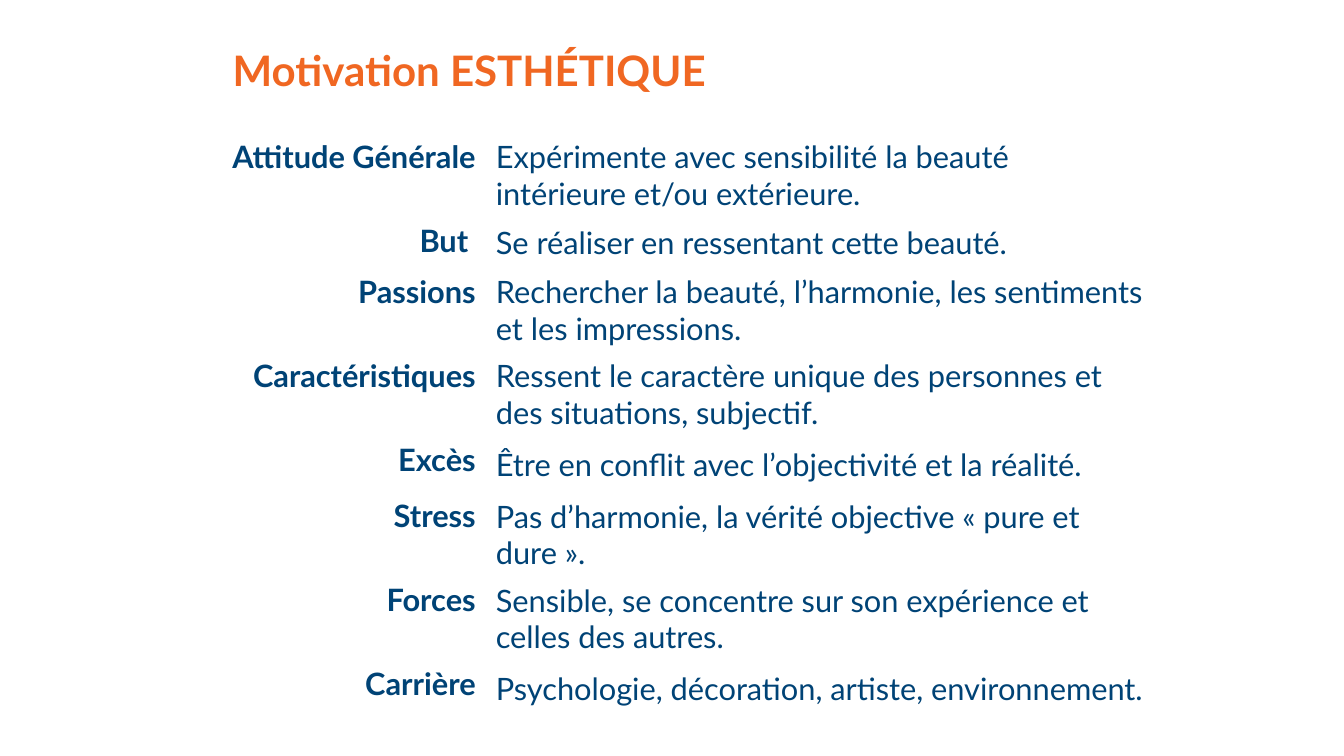
from pptx import Presentation
from pptx.dml.color import RGBColor
from pptx.enum import text
from pptx.util import Pt

ORANGE = RGBColor(0xF0, 0x67, 0x22)
NAVY = RGBColor(0x00, 0x43, 0x76)
FONT = "Lato"
COLUMN_WIDTHS = (213, 479)
TRAITS = [
    ("Attitude Générale", "Expérimente avec sensibilité la beauté intérieure et/ou extérieure.", 60),
    ("But ", "Se réaliser en ressentant cette beauté.", 36.6),
    ("Passions", "Rechercher la beauté, l’harmonie, les sentiments et les impressions.", 60),
    ("Caractéristiques", "Ressent le caractère unique des personnes et des situations, subjectif.", 60),
    ("Excès", "Être en conflit avec l’objectivité et la réalité.", 40.2),
    ("Stress", "Pas d’harmonie, la vérité objective « pure et dure ».", 60),
    ("Forces", "Sensible, se concentre sur son expérience et celles des autres.", 60),
    ("Carrière", "Psychologie, décoration, artiste, environnement.", 40.2),
]


def style_paragraph(p, size, color, bold, align):
    p.alignment = align
    p.font.name = FONT
    p.font.size = Pt(size)
    p.font.bold = bold
    p.font.color.rgb = color


def add_title(s, title):
    sp = s.shapes.title
    sp.left, sp.top, sp.width, sp.height = Pt(159), Pt(24), Pt(665), Pt(56)
    tf = sp.text_frame
    tf.text = title
    tf.word_wrap = True
    tf.auto_size = text.MSO_AUTO_SIZE.NONE
    tf.vertical_anchor = text.MSO_ANCHOR.MIDDLE
    p = tf.paragraphs[0]
    p.line_spacing = 0.9
    style_paragraph(p, 30, ORANGE, True, text.PP_ALIGN.LEFT)


def fill_cell(cell, value, bold, align, anchor):
    cell.fill.background()
    cell.text = value
    cell.vertical_anchor = anchor
    style_paragraph(cell.text_frame.paragraphs[0], 22, NAVY, bold, align)


def add_traits_table(s, traits):
    height = sum(row_height for _, _, row_height in traits)
    frame = s.shapes.add_table(len(traits), 2, Pt(134), Pt(95),
                               Pt(sum(COLUMN_WIDTHS)), Pt(height))
    table = frame.table
    table.first_row = False
    table.horz_banding = False
    for column, width in zip(table.columns, COLUMN_WIDTHS):
        column.width = Pt(width)
    for i, (label, description, row_height) in enumerate(traits):
        table.rows[i].height = Pt(row_height)
        fill_cell(table.cell(i, 0), label, True,
                  text.PP_ALIGN.RIGHT, text.MSO_ANCHOR.TOP)
        fill_cell(table.cell(i, 1), description, False,
                  text.PP_ALIGN.LEFT, text.MSO_ANCHOR.MIDDLE)


def main():
    prs = Presentation()
    prs.slide_width, prs.slide_height = Pt(960), Pt(540)
    s = prs.slides.add_slide(prs.slide_layouts[5])
    add_title(s, "Motivation ESTHÉTIQUE")
    add_traits_table(s, TRAITS)
    prs.save("out.pptx")


if __name__ == "__main__":
    main()
